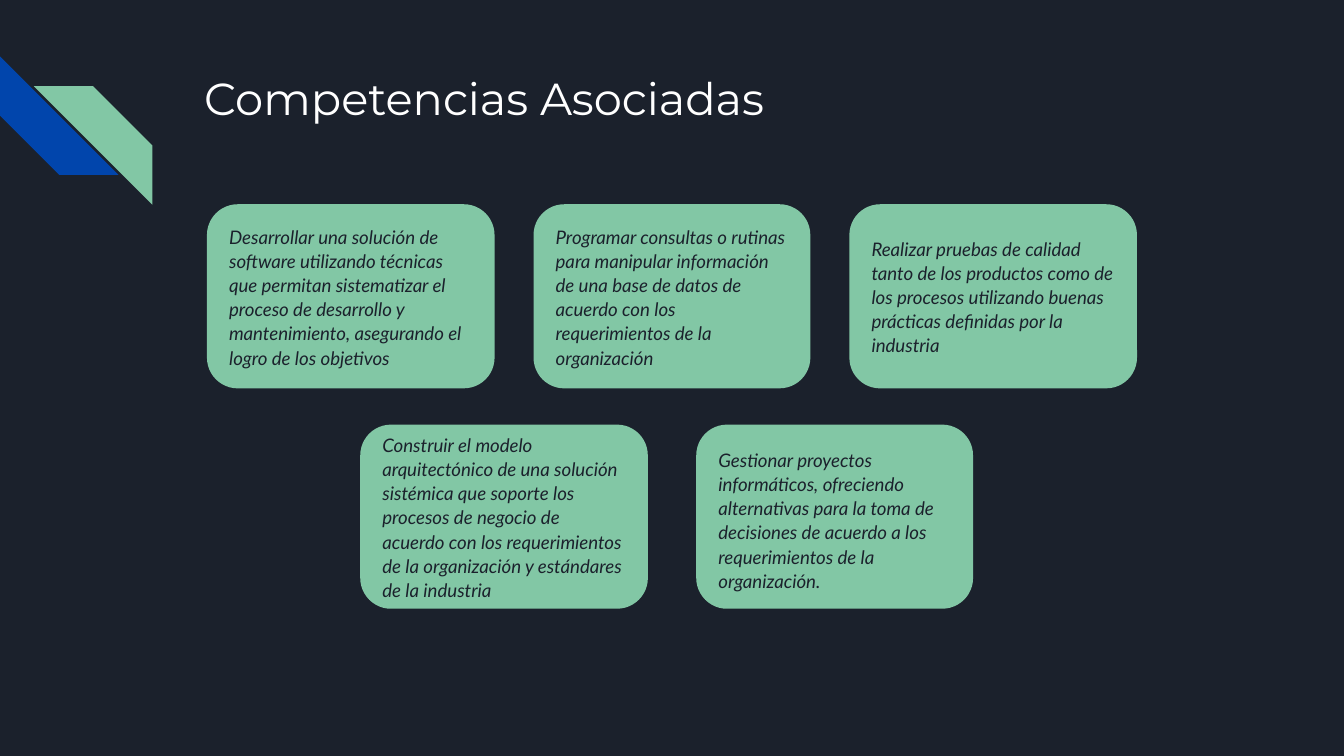
"""Build the slide of associated competencies."""
from pptx import Presentation
from pptx.dml.color import RGBColor
from pptx.enum.shapes import MSO_SHAPE
from pptx.enum.text import MSO_ANCHOR, PP_ALIGN
from pptx.util import Pt

NAVY, BLUE, GREEN, WHITE = "1B212C", "0145AC", "82C7A5", "FFFFFF"
WIDE, NARROW = 154.08, 148.32
CARD_HEIGHT = 98.64
MIDDLE, TOP = MSO_ANCHOR.MIDDLE, MSO_ANCHOR.TOP

ROWS = [
    (110.88, 109.44, 20.88, [
        (WIDE, MIDDLE, "Desarrollar una solución de software utilizando técnicas que permitan "
                       "sistematizar el proceso de desarrollo y mantenimiento, asegurando el "
                       "logro de los objetivos"),
        (NARROW, MIDDLE, "Programar consultas o rutinas para manipular información de una base "
                         "de datos de acuerdo con los requerimientos de la organización"),
        (WIDE, MIDDLE, "Realizar pruebas de calidad tanto de los productos como de los procesos "
                       "utilizando buenas prácticas definidas por la industria"),
    ]),
    (193, 227.52, 25.92, [
        (WIDE, MIDDLE, "Construir el modelo arquitectónico de una solución sistémica que soporte "
                       "los procesos de negocio de acuerdo con los requerimientos de la "
                       "organización y estándares de la industria"),
        (NARROW, TOP, "Gestionar proyectos informáticos, ofreciendo alternativas para la toma de "
                      "decisiones de acuerdo a los requerimientos de la organización."),
    ]),
]


def color(value):
    """Turn a hex string into a colour."""
    return RGBColor.from_string(value)


class SlideBuilder:
    """Hold the style and the current slide."""

    title_font, body_font = "Montserrat", "Lato"
    title_size, body_size = 24, 10
    inset = 7.2

    def __init__(self, slide):
        """Keep the slide and paint its background."""
        self.slide = slide
        slide.background.fill.solid()
        slide.background.fill.fore_color.rgb = color(NAVY)

    def shape(self, kind, left, top, width, height, fill):
        """Add a flat preset shape without an outline."""
        shape = self.slide.shapes.add_shape(kind, Pt(left), Pt(top), Pt(width), Pt(height))
        shape.shadow.inherit = False
        shape.fill.solid()
        shape.fill.fore_color.rgb = color(fill)
        shape.line.fill.background()
        return shape

    def text(self, shape, text, font, size, ink, anchor=TOP, italic=False):
        """Put one left-aligned paragraph in a shape and return it."""
        text_frame = shape.text_frame
        text_frame.text = text
        text_frame.word_wrap = True
        text_frame.vertical_anchor = anchor
        text_frame.margin_left = text_frame.margin_right = Pt(self.inset)
        text_frame.margin_top = text_frame.margin_bottom = Pt(self.inset)
        paragraph = text_frame.paragraphs[0]
        paragraph.alignment = PP_ALIGN.LEFT
        for run in paragraph.runs:
            run.font.name = font
            run.font.size = Pt(size)
            run.font.italic = italic
            run.font.color.rgb = color(ink)
        return paragraph

    def stripe(self, left, top, size, rotation, fill):
        """Add a rotated diagonal stripe."""
        shape = self.shape(MSO_SHAPE.DIAGONAL_STRIPE, left, top, size, size, fill)
        shape.adjustments[0] = 0.5
        shape.rotation = rotation

    def title(self, text, left, top, width, height):
        """Add the slide title."""
        shape = self.slide.shapes.add_textbox(Pt(left), Pt(top), Pt(width), Pt(height))
        self.text(shape, text, self.title_font, self.title_size, WHITE)

    def card(self, text, left, top, width, anchor):
        """Add a rounded card with one competency."""
        shape = self.shape(MSO_SHAPE.ROUNDED_RECTANGLE, left, top, width, CARD_HEIGHT, GREEN)
        paragraph = self.text(shape, text, self.body_font, self.body_size, NAVY, anchor, True)
        paragraph.line_spacing = 1.08
        paragraph.space_after = Pt(8)

    def row(self, left, top, gap, cards):
        """Lay out cards from left to right with equal gaps."""
        for width, anchor, text in cards:
            self.card(text, left, top, width, anchor)
            left += width + gap


def main():
    """Create the presentation and save it."""
    presentation = Presentation()
    presentation.slide_width, presentation.slide_height = Pt(720), Pt(405)
    builder = SlideBuilder(presentation.slides.add_slide(presentation.slide_layouts[6]))
    builder.stripe(0, 30.24, 63.4, 270, BLUE)
    builder.stripe(18.2, 46.2, 63.4, 90, GREEN)
    builder.title("Competencias Asociadas", 102.24, 30.96, 554.4, 72)
    for row in ROWS:
        builder.row(*row)
    presentation.save("out.pptx")


if __name__ == "__main__":
    main()
